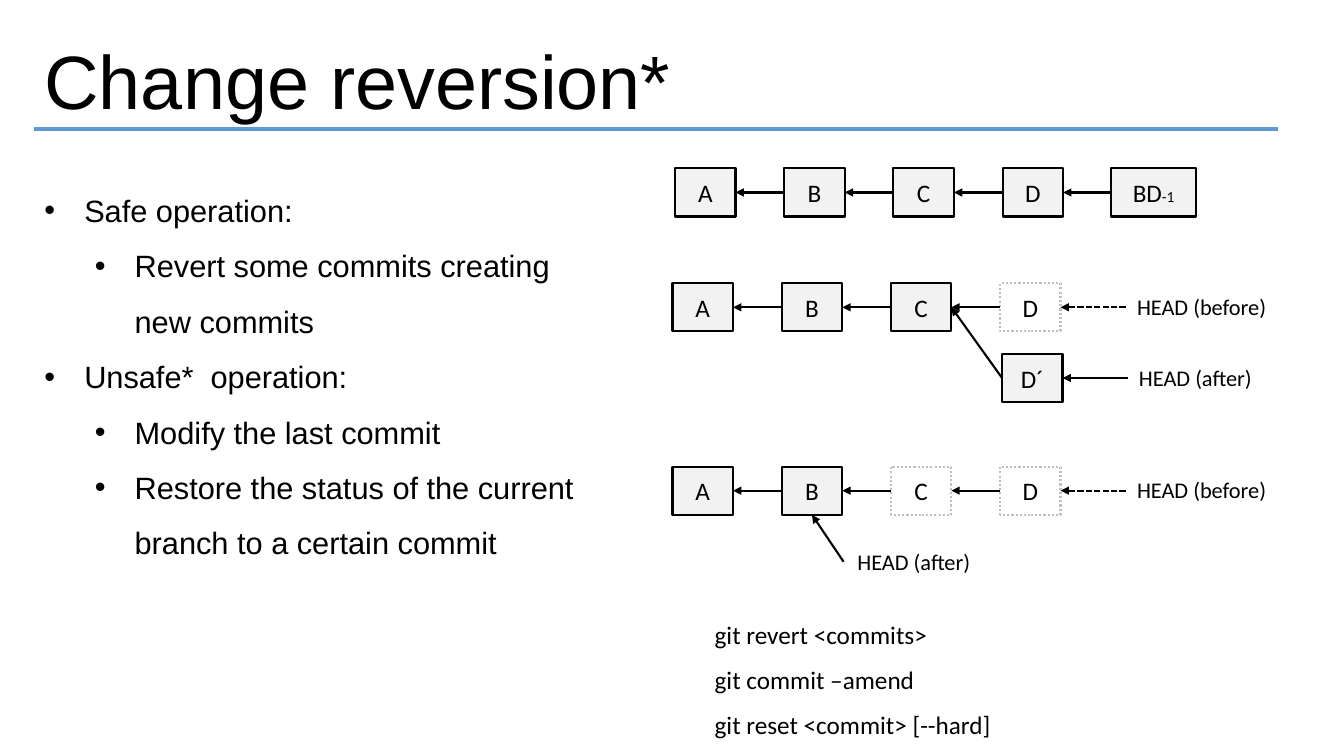
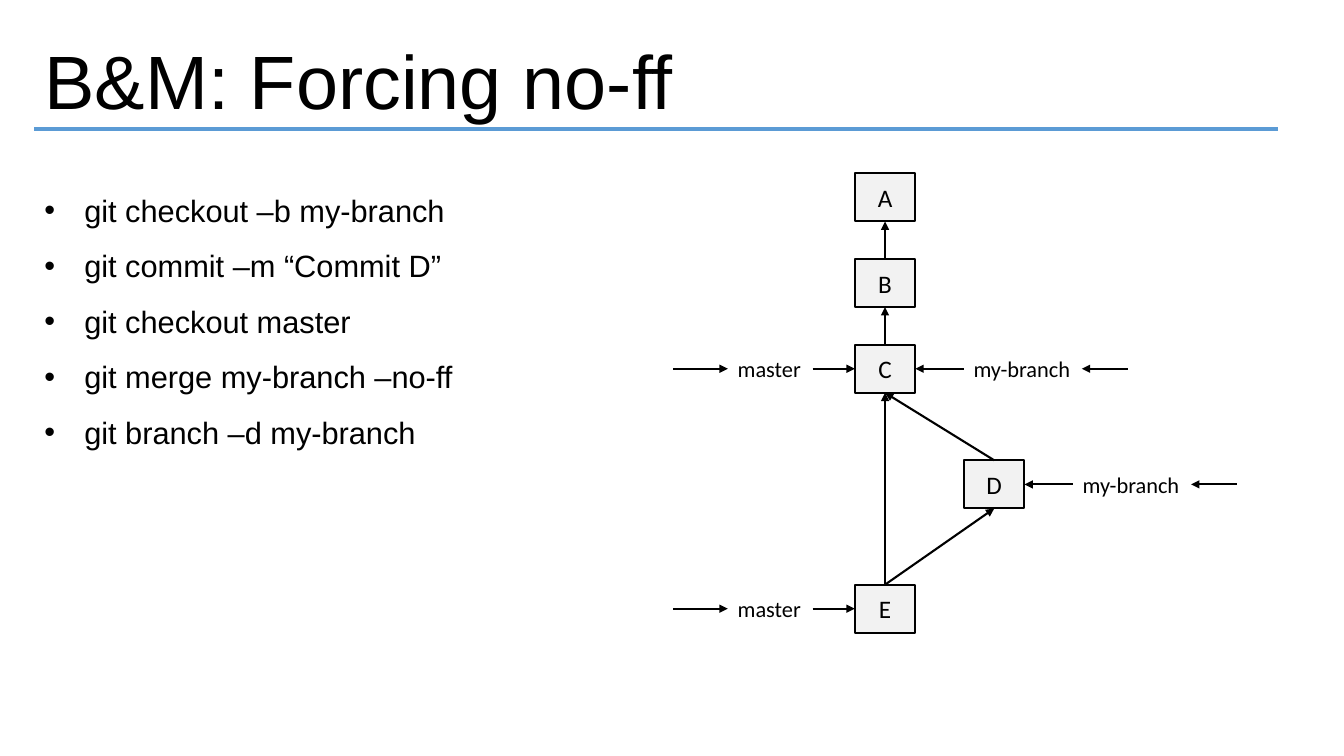
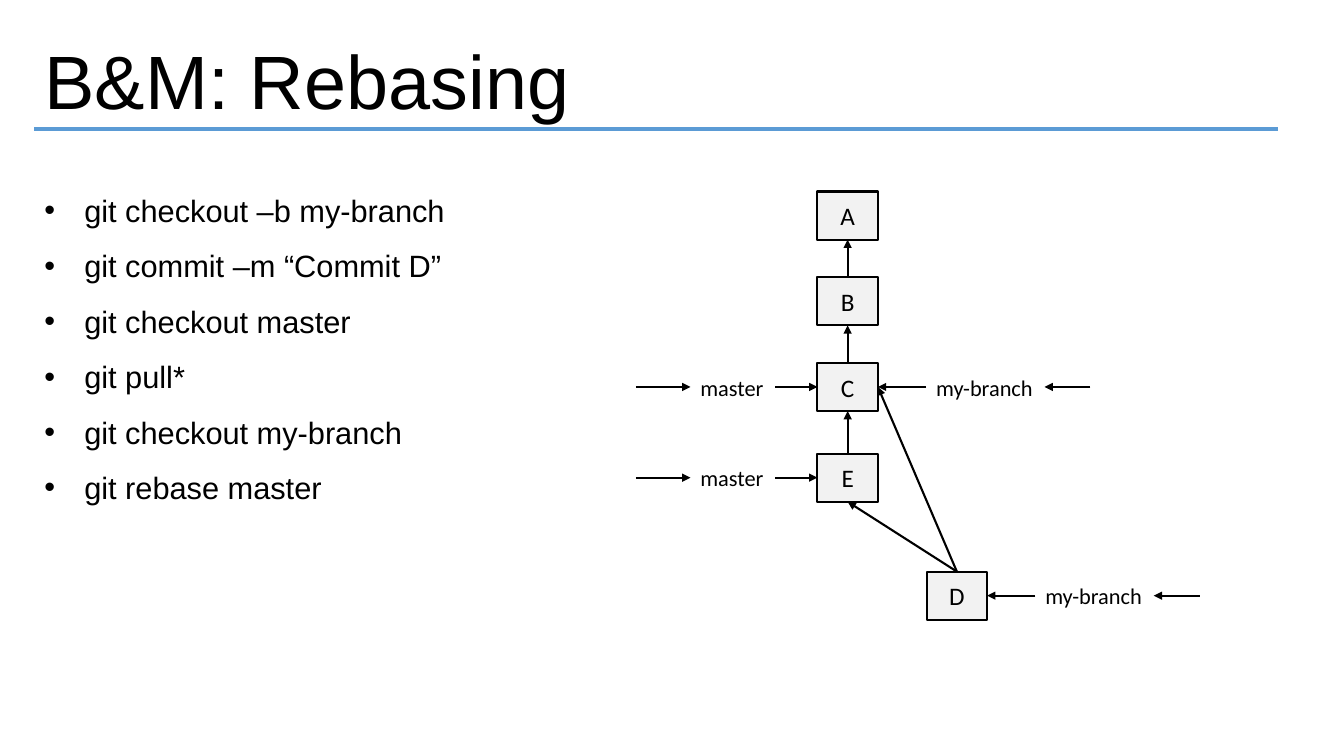
from lxml import etree
from pptx import Presentation
from pptx import util as u
from pptx.dml import color
from pptx.enum import dml, shapes, text
from pptx.oxml import ns

Pt = u.Pt
BLACK, BLUE, GREY, SILVER, WHITE = "000000", "5B9BD5", "F2F2F2", "BFBFBF", "FFFFFF"
HEADING, BODY = "Arial", "Calibri"
TOP, LEFT, BOTTOM, RIGHT = range(4)     # connection sites of a rectangle
BOX_W, BOX_H, STEP = 43.2, 34.4, 78     # commit box and its column pitch
ROW_PITCH = 61.2
LABEL_H = 26.6


def rgb(value):
    return color.RGBColor.from_string(value)


def write(p, words, size=18, font=BODY, ink=BLACK, align=text.PP_ALIGN.LEFT, spacing=None):
    """Add formatted text to a paragraph, one run per line."""
    p.alignment = align
    if spacing:
        p.line_spacing = spacing
    for i, line in enumerate(words.split("\n")):
        if i:
            p.add_line_break()
        r = p.add_run()
        r.text = line
        r.font.size, r.font.name = Pt(size), font
        r.font.color.rgb = rgb(ink)


def place(sp, x, y, w, h):
    sp.left, sp.top, sp.width, sp.height = Pt(x), Pt(y), Pt(w), Pt(h)


def bullet(p, level):
    p.level = level
    p.space_before = Pt(0)
    pPr = p._p.get_or_add_pPr()
    pPr.set("marL", str(Pt(28.5 + 36 * level)))
    pPr.set("indent", str(-Pt(28.5)))
    etree.SubElement(pPr, ns.qn("a:buFont"), typeface="Arial")
    etree.SubElement(pPr, ns.qn("a:buChar"), char="•")


# Lines and arrows
def line(s, x1=0, y1=0, x2=0, y2=0, ink=BLACK, width=1.5, dash=None, arrow=True):
    c = s.shapes.add_connector(shapes.MSO_CONNECTOR.STRAIGHT, Pt(x1), Pt(y1), Pt(x2), Pt(y2))
    c.line.color.rgb = rgb(ink)
    c.line.width = Pt(width)
    if dash:
        c.line.dash_style = dash
    if arrow:
        etree.SubElement(c.line._get_or_add_ln(), ns.qn("a:tailEnd"), type="triangle")
    etree.SubElement(c._element.spPr, ns.qn("a:effectLst"))
    return c


def link(s, child, child_side, parent, parent_side):
    c = line(s)
    c.begin_connect(child, child_side)
    c.end_connect(parent, parent_side)


# Boxes and labels
def label(s, x, y, w, *lines, h=LABEL_H, **fmt):
    tf = s.shapes.add_textbox(Pt(x), Pt(y), Pt(w), Pt(h)).text_frame
    tf.word_wrap = False
    for i, words in enumerate(lines):
        write(tf.add_paragraph() if i else tf.paragraphs[0], words, **fmt)


def commit(s, x, y, name, gone=False, w=BOX_W):
    sp = s.shapes.add_shape(shapes.MSO_SHAPE.RECTANGLE, Pt(x), Pt(y), Pt(w), Pt(BOX_H))
    sp.shadow.inherit = False
    sp.fill.solid()
    sp.fill.fore_color.rgb = rgb(WHITE if gone else GREY)
    sp.line.color.rgb = rgb(SILVER if gone else BLACK)
    sp.line.width = Pt(1.5)
    if gone:
        sp.line.dash_style = dml.MSO_LINE.ROUND_DOT
    tf = sp.text_frame
    tf.vertical_anchor = text.MSO_ANCHOR.MIDDLE
    write(tf.paragraphs[0], name, align=text.PP_ALIGN.CENTER)
    return sp


def middle(box):
    return box.top.pt + box.height.pt / 2


# Parts of the diagrams
def history(s, x, y, names, gone=""):
    """A row of commits, each pointing to the one before."""
    boxes = [commit(s, x + i * STEP, y, n, n in gone) for i, n in enumerate(names)]
    for parent, child in zip(boxes, boxes[1:]):
        link(s, child, LEFT, parent, RIGHT)
    return boxes


def head(s, box, when, w, dash=None):
    """A HEAD label to the right of a commit."""
    edge, y = box.left.pt + box.width.pt, middle(box)
    line(s, edge + 46.5, y, edge, y, dash=dash).end_connect(box, RIGHT)
    label(s, edge + 47.5, y - 13.6, w, f"HEAD ({when})", size=16)


def pointer(s, box, name, side, gap, w, tail):
    """A branch name between two arrows that lead to one side of a commit."""
    sign = 1 if side == RIGHT else -1
    edge = box.left.pt + (box.width.pt if side == RIGHT else 0)
    y = middle(box)
    near, far = edge + sign * gap, edge + sign * (gap + w)
    line(s, near, y, edge, y).end_connect(box, side)
    line(s, far + sign * tail, y, far, y)
    label(s, min(near, far), y - 13, w, name, size=16)


def branches(s, x, y, e_top, d_top):
    """A column A, B, C, E with D one step to its right; tops count from y."""
    a, b, c = (commit(s, x, y + i * ROW_PITCH, n) for i, n in enumerate("ABC"))
    e = commit(s, x, y + e_top, "E")
    d = commit(s, x + STEP, y + d_top, "D")
    for child, parent in ((b, a), (c, b), (e, c)):
        link(s, child, TOP, parent, BOTTOM)
    for box in (c, e):
        pointer(s, box, "master", LEFT, 30.2, 60.5, 38.9)
    for box in (c, d):
        pointer(s, box, "my-branch", RIGHT, 34.5, 84.5, 32.7)
    return c, d, e


def reversion(s, x, y):
    """Three histories: revert, amend and reset, then their commands."""
    before = dml.MSO_LINE.SQUARE_DOT

    # Revert
    row = history(s, x + 1.8, y, "ABCD")
    inverse = commit(s, x + 1.4 + 4 * STEP, y, "BD", w=60.5)
    write(inverse.text_frame.paragraphs[0], "-1", size=11, align=text.PP_ALIGN.CENTER)
    link(s, inverse, LEFT, row[-1], RIGHT)

    # Amend
    row = history(s, x, y + 82, "ABCD", gone="D")
    amended = commit(s, x + 1.4 + 3 * STEP, y + 132.5, "D´")
    link(s, amended, LEFT, row[2], RIGHT)
    head(s, row[3], "before", 108, before)
    head(s, amended, "after", 96.5)

    # Reset
    row = history(s, x, y + 213, "ABCD", gone="CD")
    head(s, row[3], "before", 108, before)
    line(s, x + 122.2, y + 281, x + 99, y + 247).end_connect(row[1], BOTTOM)
    label(s, x + 125, y + 268, 96.5, "HEAD (after)", size=16)

    # Commands
    label(s, x + 23, y + 307.5, 214, "git revert <commits>", "git commit –amend",
          "git reset <commit> [--hard]", h=105, spacing=1.5)


# Title, rule and list shared by the slides
def new_slide(prs, title, items):
    s = prs.slides.add_slide(prs.slide_layouts[1])
    sp, body = s.shapes.title, s.placeholders[1]
    place(sp, 24.5, 20.9, 888, 72.7)
    place(body, 24.5, 120.2, 427, 54 * len(items) + 20)
    for tf in (sp.text_frame, body.text_frame):
        tf.auto_size = text.MSO_AUTO_SIZE.NONE
        tf.vertical_anchor = text.MSO_ANCHOR.TOP
    write(sp.text_frame.paragraphs[0], title, size=54, font=HEADING)
    line(s, 24.5, 92.2, 913, 92.2, ink=BLUE, width=3, arrow=False)
    tf = body.text_frame
    for i, (level, words) in enumerate(items):
        p = tf.add_paragraph() if i else tf.paragraphs[0]
        write(p, words, size=22, font=HEADING, spacing=1.5)
        bullet(p, level)
    return s


def commands(*lines):
    start = ("git checkout –b my-branch", "git commit –m “Commit D”", "git checkout master")
    return [(0, words) for words in start + lines]


def main():
    prs = Presentation()
    prs.slide_width, prs.slide_height = Pt(960), Pt(540)

    s = new_slide(prs, "Change reversion*", [
        (0, "Safe operation:"),
        (1, "Revert some commits creating\nnew commits"),
        (0, "Unsafe*  operation:"),
        (1, "Modify the last commit"),
        (1, "Restore the status of the current\nbranch to a certain commit"),
    ])
    reversion(s, 480.4, 120.3)

    s = new_slide(prs, "B&M: Forcing no-ff",
                  commands("git merge my-branch –no-ff", "git branch –d my-branch"))
    c, d, e = branches(s, 610.6, 123.8, e_top=293.8, d_top=205)
    link(s, d, TOP, c, BOTTOM)
    link(s, e, TOP, d, BOTTOM)

    s = new_slide(prs, "B&M: Rebasing",
                  commands("git pull*", "git checkout my-branch", "git rebase master"))
    c, d, e = branches(s, 583.9, 136.8, e_top=187.2, d_top=271.5)
    link(s, d, TOP, e, BOTTOM)
    link(s, d, TOP, c, RIGHT)

    prs.save("out.pptx")


if __name__ == "__main__":
    main()
